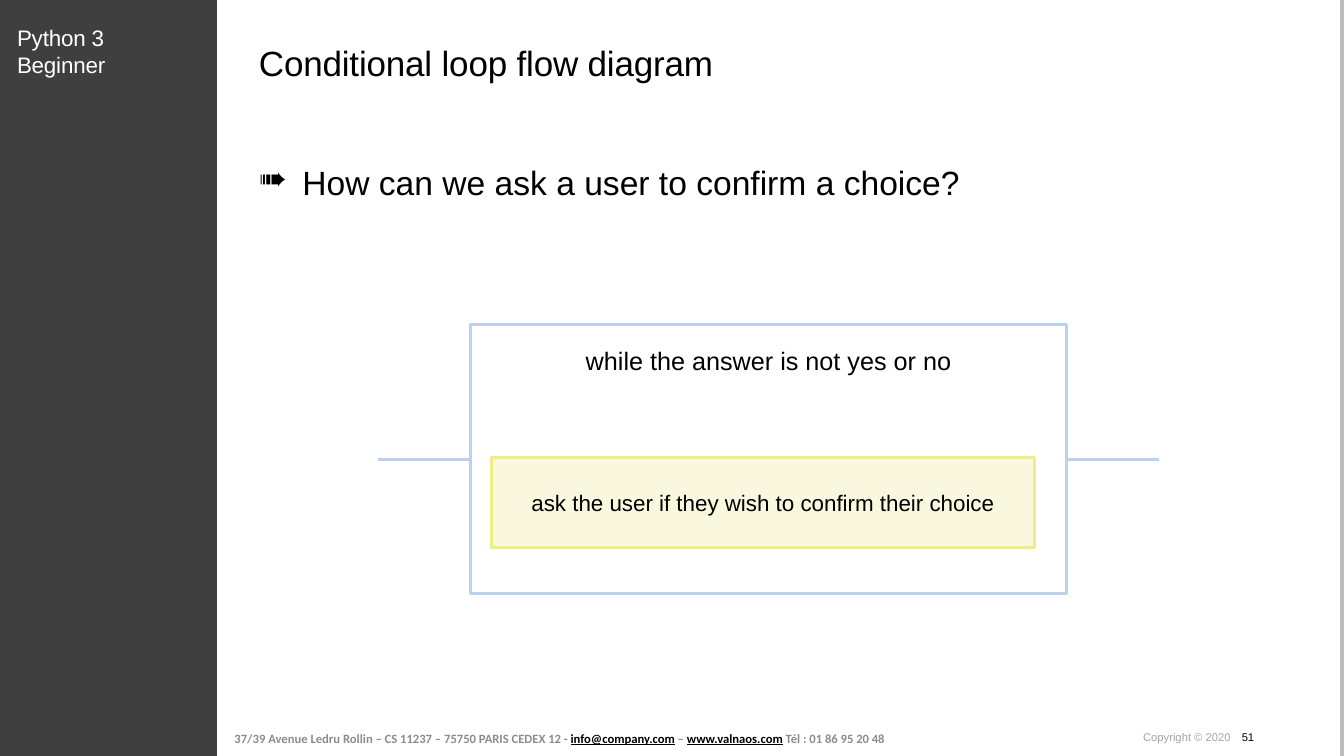
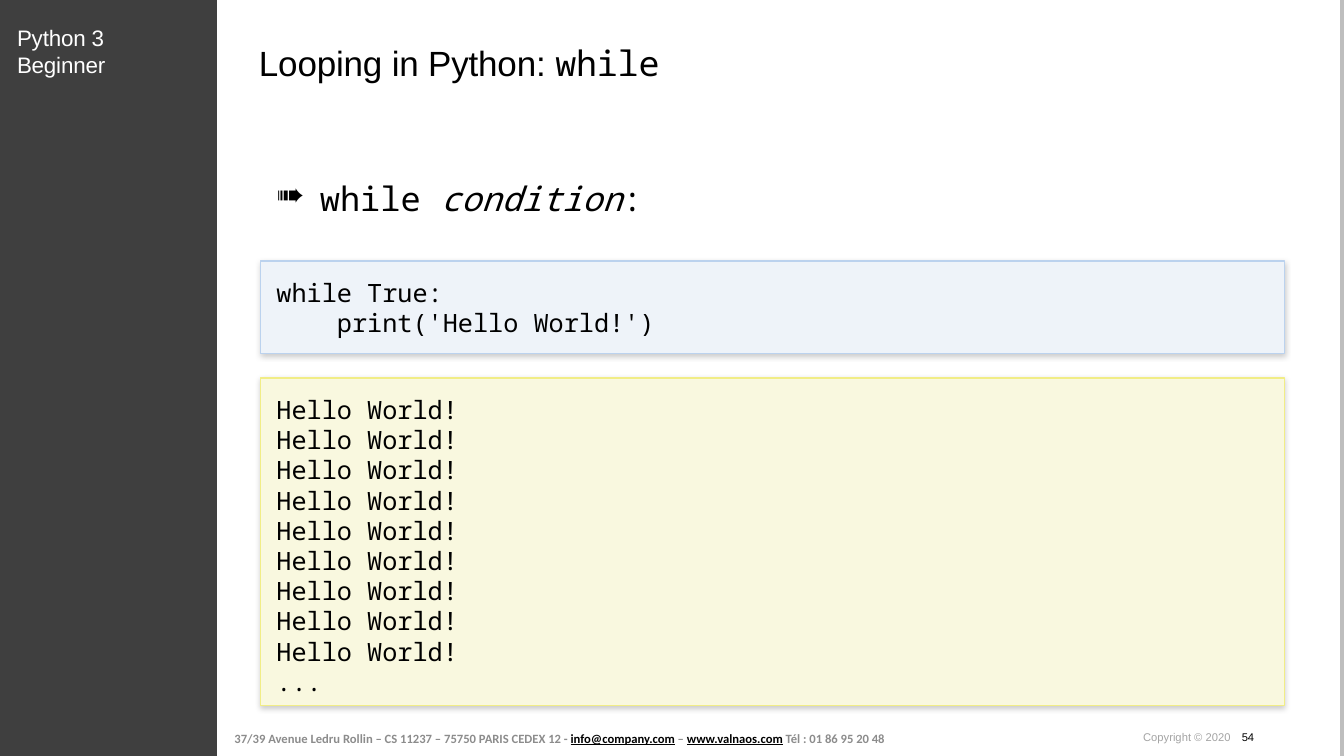
from lxml.etree import SubElement
from pptx import Presentation
from pptx.dml.color import RGBColor
from pptx.enum.shapes import MSO_CONNECTOR, MSO_SHAPE
from pptx.enum.text import MSO_ANCHOR, PP_ALIGN
from pptx.oxml.ns import qn
from pptx.util import Pt

SLIDE_WIDTH, SLIDE_HEIGHT = 960, 540
SIDEBAR_WIDTH = 155
CONTENT_LEFT, CONTENT_WIDTH = 186, 731.5
BULLET_INDENT = 31
CODE_INSET = 11.5

BLACK = RGBColor(0x00, 0x00, 0x00)
WHITE = RGBColor(0xFF, 0xFF, 0xFF)
SIDEBAR_GREY = RGBColor(0x3F, 0x3F, 0x3F)
EDGE_GREY = RGBColor(0xBE, 0xBE, 0xBE)
ADDRESS_GREY = RGBColor(0x8C, 0x8C, 0x8C)
COPYRIGHT_GREY = RGBColor(0xA4, 0xA4, 0xA4)
BLUE_LINE = RGBColor(0xBB, 0xD2, 0xEE)
BLUE_FILL = RGBColor(0xEE, 0xF3, 0xF9)
YELLOW_LINE = RGBColor(0xF1, 0xED, 0x86)
YELLOW_FILL = RGBColor(0xF9, 0xF8, 0xDF)

SANS = "Arial"
MONO = "Noto Sans Mono"
FOOTER_FONT = "Calibri"


def style_paragraph(paragraph, size, name=SANS, color=BLACK):
    font = paragraph.font
    font.size, font.name = Pt(size), name
    font.color.rgb = color


def add_run(paragraph, text, spacing=None):
    """Add a run; spacing is in hundredths of a point."""
    run = paragraph.add_run()
    run.text = text
    if spacing is not None:
        run._r.get_or_add_rPr().set("spc", str(spacing))
    return run


def set_frame(frame, inset=0, anchor=MSO_ANCHOR.TOP):
    frame.word_wrap = True
    frame.vertical_anchor = anchor
    frame.margin_left = frame.margin_right = Pt(inset)
    frame.margin_top = frame.margin_bottom = Pt(inset)


def add_text_box(slide, box, anchor=MSO_ANCHOR.TOP):
    frame = slide.shapes.add_textbox(*map(Pt, box)).text_frame
    set_frame(frame, anchor=anchor)
    return frame.paragraphs[0]


def add_line(slide, start, end, color, width):
    line = slide.shapes.add_connector(MSO_CONNECTOR.STRAIGHT, *map(Pt, start + end))
    line.line.color.rgb = color
    line.line.width = Pt(width)
    SubElement(line._element.spPr, qn("a:effectLst"))


def add_rectangle(slide, box, fill=None, line=None, line_width=1):
    shape = slide.shapes.add_shape(MSO_SHAPE.RECTANGLE, *map(Pt, box))
    shape.shadow.inherit = False
    if fill is None:
        shape.fill.background()
    else:
        shape.fill.solid()
        shape.fill.fore_color.rgb = fill
    if line is None:
        shape.line.fill.background()
    else:
        shape.line.color.rgb = line
        shape.line.width = Pt(line_width)
    return shape


def add_soft_shadow(shape):
    effects = shape._element.spPr.find(qn("a:effectLst"))
    shadow = SubElement(effects, qn("a:outerShdw"), blurRad=str(Pt(4)),
                        dist=str(Pt(1)), dir="5400000", rotWithShape="0")
    color = SubElement(shadow, qn("a:srgbClr"), val=str(BLACK))
    SubElement(color, qn("a:alpha"), val="20000")


# Shared frame: sidebar, right edge, footer and title
def add_sidebar(slide, box):
    left, top, width, height = box
    add_rectangle(slide, box, SIDEBAR_GREY)
    course = add_text_box(slide, (left + 12.2, top + 17.3, width - 55, 39))
    add_run(course, "Python 3 Beginner", -10)
    style_paragraph(course, 16, color=WHITE)


def add_footer(slide, box, number):
    left, top, width, height = box
    address = add_text_box(slide, (left, top, 475, height), MSO_ANCHOR.MIDDLE)
    style_paragraph(address, 9, FOOTER_FONT, ADDRESS_GREY)
    address.font.bold = True
    for text, is_address in (
        ("37/39 Avenue Ledru Rollin – CS 11237 – 75750 PARIS CEDEX 12 - ", False),
        ("info@company.com", True),
        (" – ", False),
        ("www.valnaos.com", True),
        (" Tél : 01 86 95 20 48", False),
    ):
        run = add_run(address, text)
        if is_address:
            run.font.color.rgb = BLACK
            run.font.underline = True

    # Copyright and slide number, separated by a tab stop
    notice = add_text_box(slide, (left + 649, top + 6, width - 649, 10))
    tabs = SubElement(notice._p.get_or_add_pPr(), qn("a:tabLst"))
    SubElement(tabs, qn("a:tab"), pos=str(Pt(70.5)), algn="l")
    style_paragraph(notice, 8, color=COPYRIGHT_GREY)
    add_run(notice, "Copyright © 2020\t")
    add_run(notice, str(number)).font.color.rgb = BLACK


def add_title(slide, box, text, code=""):
    title = slide.shapes.title
    title.left, title.top, title.width, title.height = map(Pt, box)
    set_frame(title.text_frame)
    paragraph = title.text_frame.paragraphs[0]
    paragraph.alignment = PP_ALIGN.LEFT
    style_paragraph(paragraph, 25)
    add_run(paragraph, text, -10)
    if code:
        add_run(paragraph, code, -10).font.name = MONO


def add_framed_slide(presentation, number, title, code=""):
    slide = presentation.slides.add_slide(presentation.slide_layouts[5])
    add_line(slide, (958.5, 0), (958.5, SLIDE_HEIGHT), EDGE_GREY, 3.34)
    add_sidebar(slide, (0, 0, SIDEBAR_WIDTH, SLIDE_HEIGHT))
    add_footer(slide, (167.5, 516, 772, 23), number)
    add_title(slide, (185, 29.5, CONTENT_WIDTH, 30), title, code)
    return slide


# Content parts
def add_bullet(slide, box, runs, font_name=SANS):
    paragraph = add_text_box(slide, box)
    paragraph.line_spacing = 1.5
    properties = paragraph._p.get_or_add_pPr()
    properties.set("marL", str(Pt(BULLET_INDENT)))
    properties.set("indent", str(-Pt(BULLET_INDENT)))
    SubElement(properties, qn("a:buChar"), char="➠")
    style_paragraph(paragraph, 24, font_name)
    for text, italic in runs:
        run = add_run(paragraph, text)
        if italic:
            run.font.italic = True


def add_label(shape, text, size, inset, anchor):
    set_frame(shape.text_frame, inset, anchor)
    paragraph = shape.text_frame.paragraphs[0]
    paragraph.alignment = PP_ALIGN.CENTER
    add_run(paragraph, text)
    style_paragraph(paragraph, size)


def add_loop_diagram(slide, box, condition, action):
    left, top, width, height = box
    arm = 66
    middle = top + height / 2
    for start in (left - arm, left + width):
        add_line(slide, (start, middle), (start + arm, middle), BLUE_LINE, 2)
    loop = add_rectangle(slide, box, line=BLUE_LINE, line_width=2)
    add_label(loop, condition, 18, 14.4, MSO_ANCHOR.TOP)
    step = add_rectangle(slide, (left + 15, top + 95, width - 38, 64),
                         YELLOW_FILL, YELLOW_LINE, 2)
    add_label(step, action, 16, 3.6, MSO_ANCHOR.MIDDLE)


def add_code_panel(slide, box, lines, fill, line_color):
    panel = add_rectangle(slide, box, fill, line_color)
    add_soft_shadow(panel)
    frame = panel.text_frame
    set_frame(frame, CODE_INSET)
    for index, text in enumerate(lines):
        paragraph = frame.add_paragraph() if index else frame.paragraphs[0]
        paragraph.alignment = PP_ALIGN.LEFT
        add_run(paragraph, text)
        style_paragraph(paragraph, 18, MONO)


# Slides
def build_diagram_slide(presentation):
    slide = add_framed_slide(presentation, 51, "Conditional loop flow diagram")
    add_bullet(slide, (CONTENT_LEFT - 1, 101.5, CONTENT_WIDTH, 39),
               [("How can we ask a user to confirm a choice?", False)])
    add_loop_diagram(slide, (336, 232, 426, 192),
                     "while the answer is not yes or no",
                     "ask the user if they wish to confirm their choice")


def build_while_slide(presentation):
    slide = add_framed_slide(presentation, 54, "Looping in Python: ", "while")
    add_bullet(slide, (CONTENT_LEFT + CODE_INSET, 113, CONTENT_WIDTH - CODE_INSET, 39),
               [("while ", False), ("condition", True), (":", False)], MONO)
    add_code_panel(slide, (CONTENT_LEFT, 186.5, CONTENT_WIDTH, 66),
                   ["while True:", "    print('Hello World!')"],
                   BLUE_FILL, BLUE_LINE)
    add_code_panel(slide, (CONTENT_LEFT, 270, CONTENT_WIDTH, 234),
                   ["Hello World!"] * 9 + ["..."], YELLOW_FILL, YELLOW_LINE)


def main():
    presentation = Presentation()
    presentation.slide_width = Pt(SLIDE_WIDTH)
    presentation.slide_height = Pt(SLIDE_HEIGHT)
    build_diagram_slide(presentation)
    build_while_slide(presentation)
    presentation.save("out.pptx")


if __name__ == "__main__":
    main()
